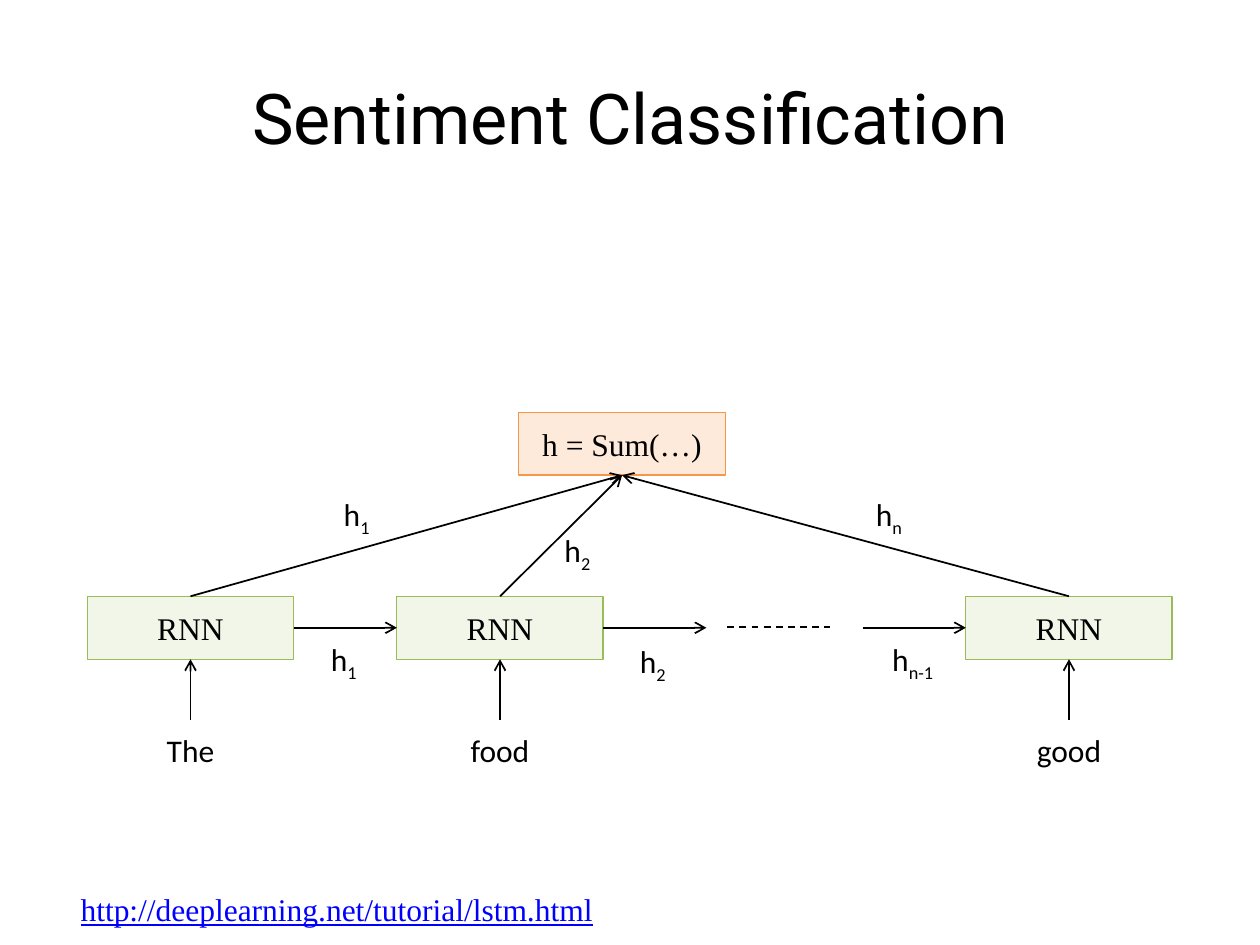
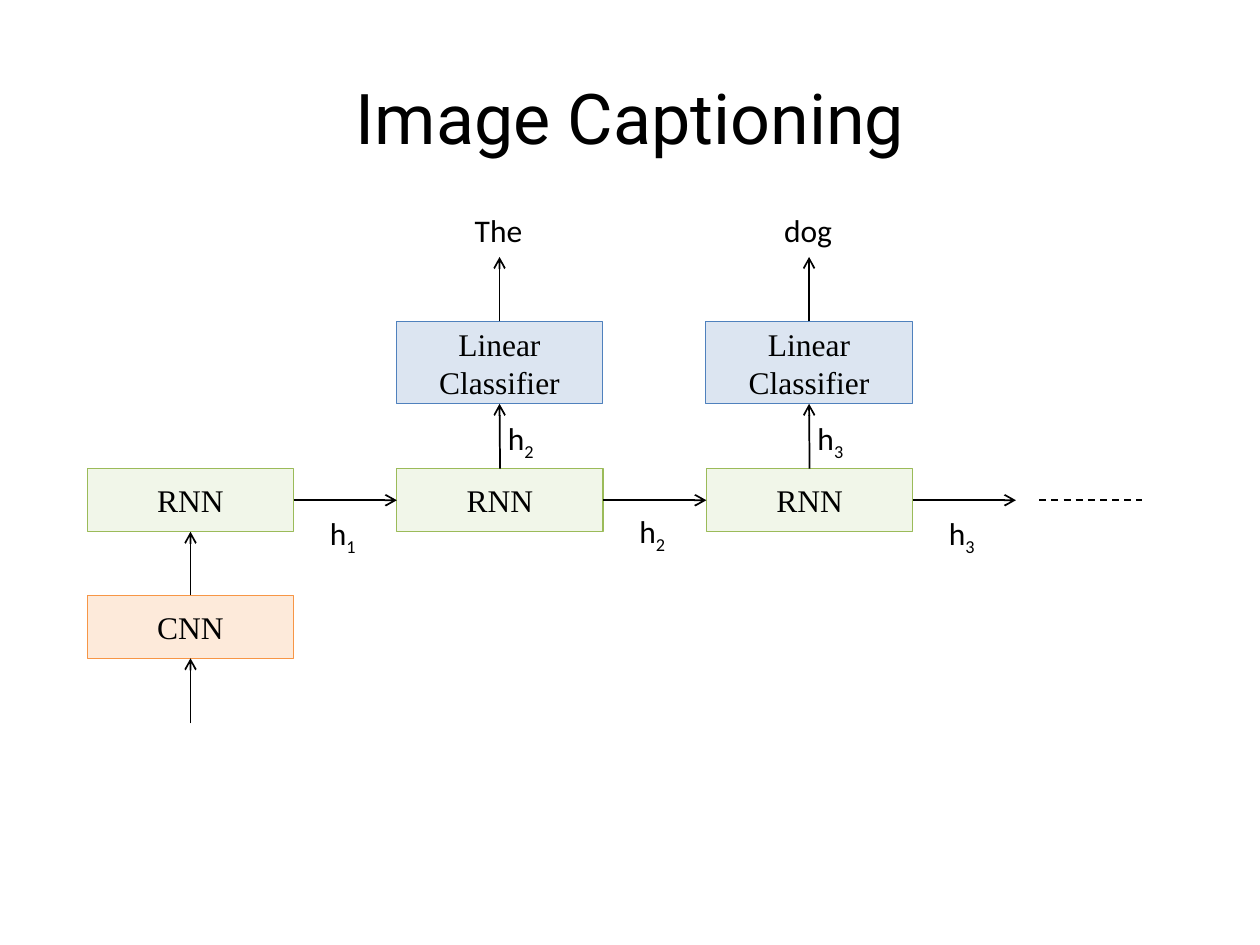
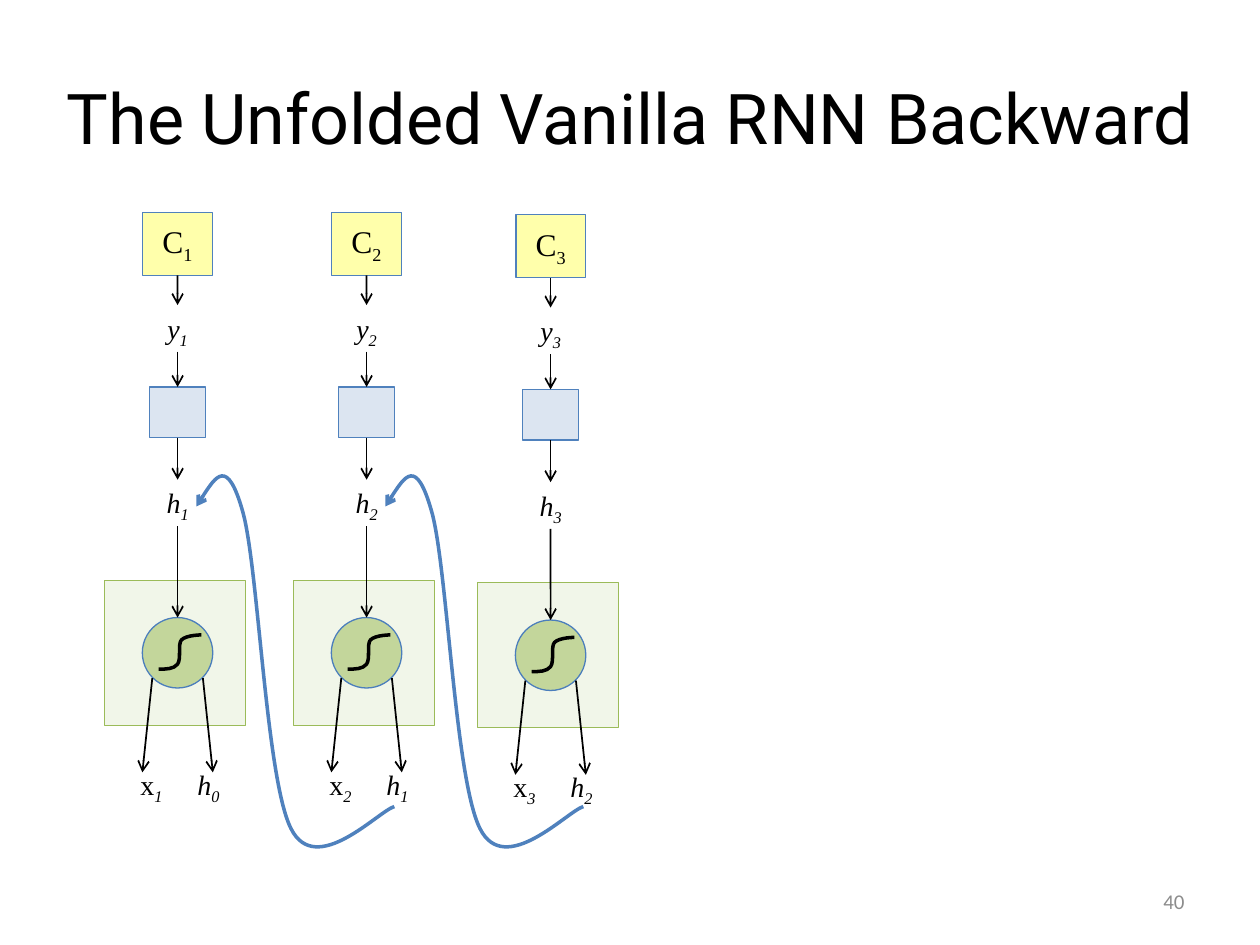
"""Builds three slides on recurrent networks: classification, captioning and the backward pass."""
from dataclasses import dataclass
from typing import NamedTuple

from lxml import etree
from pptx import Presentation
from pptx import util as u
from pptx.dml import color as dml
from pptx.enum import dml as lines, shapes, text
from pptx.oxml import ns
from pptx.shapes import autoshape, base, connector, shapetree as tree
from pptx.slide import Slide

COLORS = {
    "black": "000000",
    "grey": "8C8C8C",
    "link": "0000FF",
    "blue": "4F81BD",
    "neuron blue": "4B7EBC",
    "pale blue": "95B3D7",
    "green": "9BBB59",
    "pale green": "D7E4BD",
    "mid green": "C3D69B",
    "orange": "F79646",
    "pale orange": "FAC090",
    "yellow": "FFFF00",
}
SERIF, SANS, TITLE_FONT = "Times New Roman", "Calibri", "Roboto"
TOP, LEFT, BOTTOM, RIGHT = range(4)
BOX_WIDTH, BOX_HEIGHT = 4.16, 1.27
FIRST_COLUMN, LAST_COLUMN, PITCH = 1.76, 19.47, 6.24
GAP = PITCH - BOX_WIDTH

Shapes = tree.SlideShapes | tree.GroupShapes


class Point(NamedTuple):
    x: float
    y: float


class Joint(NamedTuple):
    shape: base.BaseShape
    side: int


class Paint(NamedTuple):
    fill: str
    line: str
    opacity: int = 33


RNN = Paint("pale green", "green")
HIGHLIGHT = Paint("pale orange", "orange")
CLASSIFIER = Paint("pale blue", "blue")
COST = Paint("yellow", "blue")
NEURON = Paint("mid green", "neuron blue", 100)


@dataclass(frozen=True)
class Box:
    left: float
    top: float
    paint: Paint
    words: str = ""
    width: float = BOX_WIDTH
    height: float = BOX_HEIGHT
    outline: shapes.MSO_SHAPE = shapes.MSO_SHAPE.RECTANGLE


@dataclass(frozen=True)
class Label:
    center: float
    top: float
    words: str
    width: float = 1.22
    height: float = 1.02
    size: float = 18
    font: str = SANS
    color: str = "black"
    align: text.PP_ALIGN = text.PP_ALIGN.CENTER
    italic: bool = False
    italic_sub: bool = False
    underline: bool = False


def rgb(name: str) -> dml.RGBColor:
    """Return a named colour."""
    return dml.RGBColor.from_string(COLORS[name])


def write(frame, label: Label) -> None:
    """Append a label's text, setting what follows an underscore as a subscript."""
    para = frame.paragraphs[0]
    para.alignment = label.align
    stem, _, sub = label.words.partition("_")
    for part, lowered in ((stem, False), (sub, True)):
        if not part:
            continue
        span = para.add_run()
        span.text = part
        span.font.name, span.font.size = label.font, u.Pt(label.size)
        span.font.color.rgb = rgb(label.color)
        span.font.italic = label.italic or (lowered and label.italic_sub)
        span.font.underline = label.underline
        if lowered:
            span._r.get_or_add_rPr().set("baseline", "-25000")


def add_box(target: Shapes, box: Box) -> autoshape.Shape:
    """Draw a filled box with centred text."""
    shape = target.add_shape(box.outline, u.Cm(box.left), u.Cm(box.top), u.Cm(box.width), u.Cm(box.height))
    shape.shadow.inherit = False
    shape.fill.solid()
    shape.fill.fore_color.rgb = rgb(box.paint.fill)
    if box.paint.opacity < 100:
        tint = shape.element.spPr.find(ns.qn("a:solidFill"))[0]
        etree.SubElement(tint, ns.qn("a:alpha"), val=str(box.paint.opacity * 1000))
    shape.line.color.rgb = rgb(box.paint.line)
    shape.line.width = u.Pt(0.75)
    shape.text_frame.vertical_anchor = text.MSO_ANCHOR.MIDDLE
    write(shape.text_frame, Label(0, 0, box.words, font=SERIF))
    return shape


def add_label(target: Shapes, label: Label, wrap: bool = False) -> autoshape.Shape:
    """Draw a line of text centred on its given place."""
    shape = target.add_textbox(u.Cm(label.center - label.width / 2), u.Cm(label.top),
                               u.Cm(label.width), u.Cm(label.height))
    shape.text_frame.word_wrap = wrap
    shape.text_frame.auto_size = text.MSO_AUTO_SIZE.NONE if wrap else text.MSO_AUTO_SIZE.SHAPE_TO_FIT_TEXT
    write(shape.text_frame, label)
    return shape


def add_arrowhead(shape: base.BaseShape, end: str) -> None:
    """Put an open arrowhead on one end of a line."""
    etree.SubElement(shape.element.spPr.find(ns.qn("a:ln")), ns.qn(f"a:{end}"), type="arrow")


def add_link(target: Shapes, start: Point | Joint, end: Point | Joint, dashed: bool = False) -> connector.Connector:
    """Draw an arrow, or a dashed line, between points or box sides."""
    spots = [Point(0, 0) if isinstance(place, Joint) else place for place in (start, end)]
    link = target.add_connector(shapes.MSO_CONNECTOR.STRAIGHT, *(u.Cm(length) for spot in spots for length in spot))
    if isinstance(start, Joint):
        link.begin_connect(*start)
    if isinstance(end, Joint):
        link.end_connect(*end)
    link.line.color.rgb = rgb("black")
    link.line.width = u.Pt(1)
    if dashed:
        link.line.dash_style = lines.MSO_LINE.DASH
    else:
        add_arrowhead(link, "tailEnd")
    etree.SubElement(link.element.spPr, ns.qn("a:effectLst"))
    return link


def bezier(knots: list[Point], steps: int = 24) -> list[Point]:
    """Return points along a chain of cubic curves, which give its extent."""
    points = [knots[0]]
    for first in range(0, len(knots) - 1, 3):
        a, b, c, d = knots[first:first + 4]
        for step in range(1, steps + 1):
            t = step / steps
            weights = ((1 - t) ** 3, 3 * t * (1 - t) ** 2, 3 * t * t * (1 - t), t ** 3)
            points.append(Point(*(sum(w * v for w, v in zip(weights, axis)) for axis in zip(a, b, c, d))))
    return points


def add_curve(target: Shapes, knots: list[tuple[float, float]], origin: Point, color: str) -> autoshape.Shape:
    """Draw an open chain of cubic curves from knots measured from an origin."""
    placed = [Point(origin.x + x, origin.y + y) for x, y in knots]
    start, *rest = [(u.Cm(x), u.Cm(y)) for x, y in bezier(placed)]
    builder = target.build_freeform(*start)
    builder.add_line_segments(rest, close=False)
    curve = builder.convert_to_shape()
    outline = next(curve.element.iter(ns.qn("a:path")))
    for segment in list(outline):
        outline.remove(segment)
    for index, knot in enumerate(placed):
        if index == 0:
            segment = etree.SubElement(outline, ns.qn("a:moveTo"))
        elif index % 3 == 1:
            segment = etree.SubElement(outline, ns.qn("a:cubicBezTo"))
        etree.SubElement(segment, ns.qn("a:pt"), x=str(u.Cm(knot.x) - curve.left), y=str(u.Cm(knot.y) - curve.top))
    curve.shadow.inherit = False
    curve.fill.background()
    curve.line.color.rgb = rgb(color)
    curve.line.width = u.Pt(2)
    return curve


def add_page(deck, title: str, left: float = 1.27) -> Slide:
    """Add a slide with a centred title."""
    page = deck.slides.add_slide(deck.slide_layouts[5])
    box = page.shapes.title
    box.left, box.top = u.Cm(left), u.Cm(0.76)
    box.width, box.height = deck.slide_width - 2 * box.left, u.Cm(3.18)
    box.text_frame.vertical_anchor = text.MSO_ANCHOR.MIDDLE
    box.text_frame.auto_size = text.MSO_AUTO_SIZE.NONE
    write(box.text_frame, Label(0, 0, title, size=40, font=TITLE_FONT))
    return page


def build_classification(deck) -> None:
    """Build the slide that sums the hidden states of a sentence."""
    page = add_page(deck, "Sentiment Classification")
    top, middle = 12.02, 12.02 + BOX_HEIGHT / 2
    total = add_box(page.shapes, Box(10.46, 8.31, HIGHLIGHT, "h = Sum(…)"))
    cells = []
    for left, word, width in ((FIRST_COLUMN, "The", 1.78), (FIRST_COLUMN + PITCH, "food", 1.9),
                              (LAST_COLUMN, "good", 2.03)):
        center = left + BOX_WIDTH / 2
        cell = add_box(page.shapes, Box(left, top, RNN, "RNN"))
        add_label(page.shapes, Label(center, 14.61, word, width))
        add_link(page.shapes, Point(center, 14.51), Joint(cell, BOTTOM))
        add_link(page.shapes, Joint(cell, TOP), Joint(total, BOTTOM))
        cells.append(cell)
    first, second, last = cells
    add_link(page.shapes, Joint(first, RIGHT), Joint(second, LEFT))
    add_link(page.shapes, Joint(second, RIGHT), Point(FIRST_COLUMN + 2 * PITCH, middle))
    add_link(page.shapes, Point(LAST_COLUMN - GAP, middle), Joint(last, LEFT))
    add_link(page.shapes, Point(14.66, 12.64), Point(14.66 + GAP, 12.64), dashed=True)
    for label in (
        Label(6.93, 12.78, "h_1"),
        Label(13.16, 12.82, "h_2"),
        Label(18.4, 12.78, "h_n-1", 1.6),
        Label(7.19, 9.86, "h_1"),
        Label(11.64, 10.58, "h_2"),
        Label(17.92, 9.86, "h_n"),
        Label(7.46, 17.82, "http://deeplearning.net/tutorial/lstm.html", 12.17, font=SERIF,
              color="link", align=text.PP_ALIGN.LEFT, underline=True),
    ):
        add_label(page.shapes, label)


def build_captioning(deck) -> None:
    """Build the slide that turns an encoded image into words."""
    page = add_page(deck, "Image Captioning")
    top, middle = 9.45, 9.45 + BOX_HEIGHT / 2
    cells = []
    for column, (word, state_top) in enumerate((("", 10.24), ("The", 10.2), ("dog", 10.24))):
        left = FIRST_COLUMN + column * PITCH
        center = left + BOX_WIDTH / 2
        cell = add_box(page.shapes, Box(left, top, RNN, "RNN"))
        add_label(page.shapes, Label(6.91 + column * PITCH, state_top, f"h_{column + 1}"))
        if cells:
            add_link(page.shapes, Joint(cells[-1], RIGHT), Joint(cell, LEFT))
        cells.append(cell)
        if word:
            classifier = add_box(page.shapes, Box(left - 0.01, 6.48, CLASSIFIER, "Linear Classifier", height=1.66))
            add_link(page.shapes, Joint(cell, TOP), Joint(classifier, BOTTOM))
            add_link(page.shapes, Joint(classifier, TOP), Point(center - 0.01, 5.18))
            add_label(page.shapes, Label(center - 0.03, 4.12, word, 1.78))
            add_label(page.shapes, Label(center + 0.42, 8.33, f"h_{column + 1}"))
        else:
            encoder = add_box(page.shapes, Box(left, 12, HIGHLIGHT, "CNN"))
            add_link(page.shapes, Joint(encoder, TOP), Joint(cell, BOTTOM))
            add_link(page.shapes, Point(center, 14.58), Joint(encoder, BOTTOM))
    add_link(page.shapes, Joint(cells[-1], RIGHT), Point(FIRST_COLUMN + 3 * PITCH, middle))
    add_link(page.shapes, Point(20.95, middle), Point(20.95 + GAP, middle), dashed=True)


def add_inputs(target: Shapes, center: float, top: float, number: int) -> None:
    """Write a step's input and previous state, set apart by a tab stop."""
    style = dict(width=2.84, height=1.4, size=16, font=SERIF, align=text.PP_ALIGN.LEFT, italic_sub=True)
    box = add_label(target, Label(center - 0.05, top, f"x_{number}", **style), wrap=True)
    frame = box.text_frame
    frame.margin_left = u.Cm(0.72)
    write(frame, Label(center, top, f"\th_{number - 1}", italic=True, **style))
    stops = etree.SubElement(frame.paragraphs[0]._p.get_or_add_pPr(), ns.qn("a:tabLst"))
    etree.SubElement(stops, ns.qn("a:tab"), pos=str(u.Cm(1.15)), algn="l")


def add_step(page: Slide, number: int, center: float, drop: float) -> None:
    """Draw one time step of the backward pass, from cost to inputs."""
    step = page.shapes.add_group_shape().shapes

    def box(top: float, width: float, height: float, paint: Paint, words: str = "", offset: float = 0,
            outline: shapes.MSO_SHAPE = shapes.MSO_SHAPE.RECTANGLE) -> autoshape.Shape:
        """Draw a box centred on the step."""
        return add_box(step, Box(center + offset - width / 2, top + drop, paint, words, width, height, outline))

    def symbol(top: float, words: str) -> autoshape.Shape:
        """Write a variable on the centre of the step."""
        return add_label(step, Label(center, top + drop, words, 1.12, 0.94, 16, SERIF, italic=True))

    box(11.7, 2.84, 2.92, RNN, offset=-0.05)
    neuron = box(12.45, 1.42, 1.42, NEURON, outline=shapes.MSO_SHAPE.OVAL)
    sigmoid = [(-0.38, 0.33), (-0.23, 0.33), (-0.08, 0.33), (0, 0.23), (0.08, 0.12),
               (0, -0.18), (0.08, -0.26), (0.18, -0.36), (0.48, -0.36), (0.48, -0.36)]
    add_curve(step, sigmoid, Point(center, 13.16 + drop), "black")
    chain = [
        box(4.28, 1.4, BOX_HEIGHT, COST, f"C_{number}"),
        symbol(6.15, f"y_{number}"),
        box(7.8, 1.12, 1.02, CLASSIFIER),
        symbol(9.67, f"h_{number}"),
        neuron,
    ]
    for upper, lower in zip(chain, chain[1:]):
        add_link(step, Joint(upper, BOTTOM), Joint(lower, TOP))
    for side in (-1, 1):
        add_link(step, Point(center + side * 0.51, 13.67 + drop), Point(center + side * 0.71, 15.57 + drop))
    add_inputs(step, center, 15.34 + drop, number)


def build_backward(deck) -> None:
    """Build the slide that unfolds the backward pass over three steps."""
    page = add_page(deck, "The Unfolded Vanilla RNN Backward", left=0)
    number = Label(21.17, 17.65, "40", 5.92, size=12, color="grey", align=text.PP_ALIGN.RIGHT)
    add_label(page.shapes, number, wrap=True).text_frame.vertical_anchor = text.MSO_ANCHOR.MIDDLE
    centers = (3.58, 7.39, 11.1)
    for step, (center, drop) in enumerate(zip(centers, (0, 0, 0.05)), start=1):
        add_step(page, step, center, drop)
    feedback = [(0.38, 10.21), (0.69, 9.71), (1, 9.21), (1.31, 10.3), (1.63, 11.4),
                (1.78, 15.72), (2.29, 16.71), (2.79, 17.7), (4.04, 16.36), (4.37, 16.26)]
    for center in centers[:-1]:
        add_arrowhead(add_curve(page.shapes, feedback, Point(center, 0), "blue"), "headEnd")


def main() -> None:
    """Build and save the deck."""
    deck = Presentation()
    deck.slide_width, deck.slide_height = u.Cm(25.4), u.Cm(19.05)
    build_classification(deck)
    build_captioning(deck)
    build_backward(deck)
    deck.save("out.pptx")


if __name__ == "__main__":
    main()
